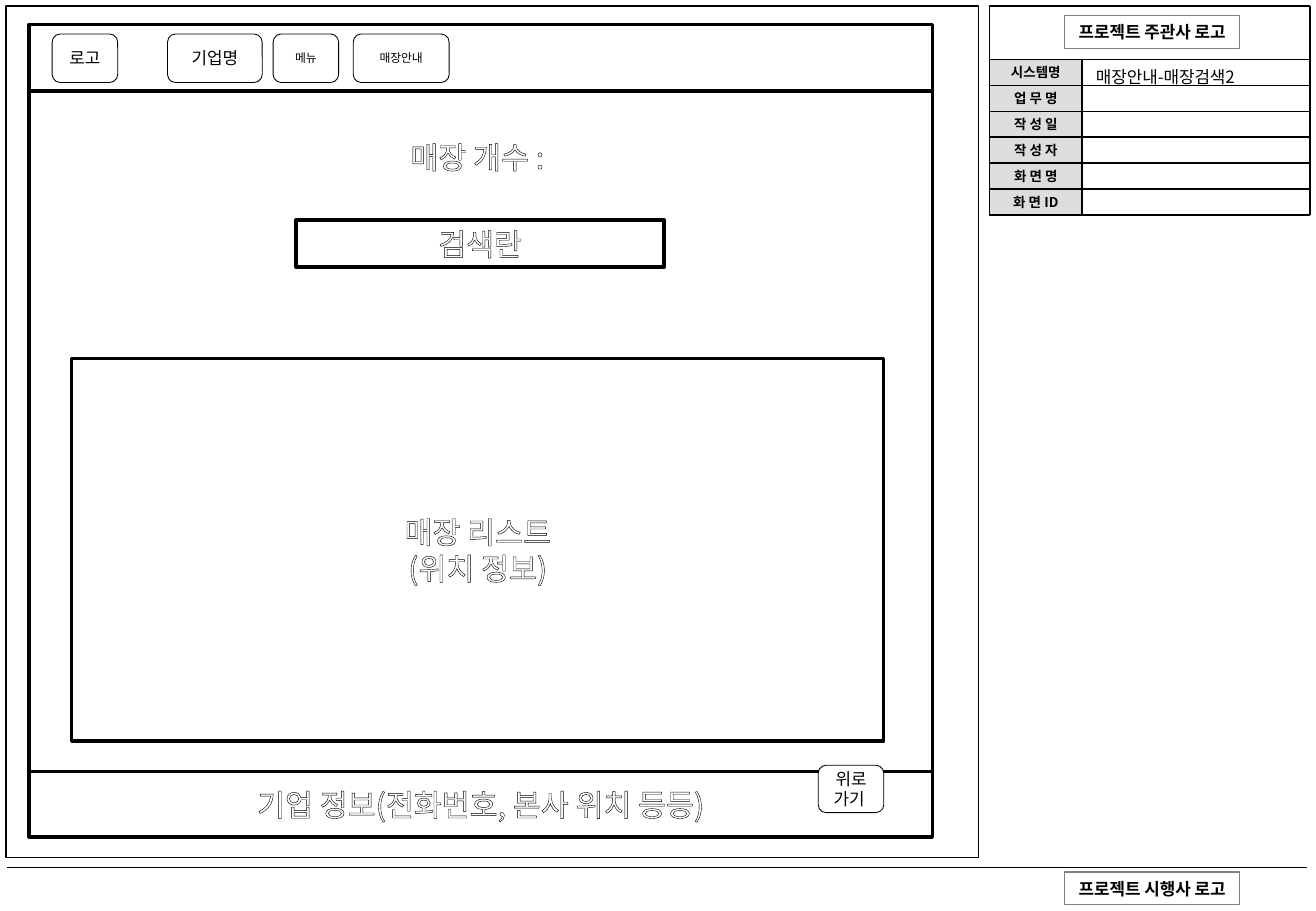
from collections import namedtuple

from lxml import etree
from pptx import Presentation, util as u
from pptx.dml import color
from pptx.enum import shapes, text
from pptx.oxml import ns

# The slide is a grid of 1084 columns by 750 rows, each 0.01 inch.
CELL = u.Inches(0.01)
COLUMNS, ROWS = 1084, 750
FONT = "Noto Sans CJK KR"
BLACK, WHITE, GRAY, LABEL_GRAY = "000000", "FFFFFF", "808080", "DDDDDD"
RECTANGLE = shapes.MSO_SHAPE.RECTANGLE
ROUNDED = shapes.MSO_SHAPE.ROUNDED_RECTANGLE

Box = namedtuple("Box", "left top width height")


def grid(units):
    return round(units * CELL)


def inside(box, left, top, width, height):
    return Box(box.left + left, box.top + top, width, height)


def rgb(value):
    return color.RGBColor.from_string(value)


def write(shape, content, size=10, bold=False, outlined=False, wrap=True,
          align=text.PP_ALIGN.CENTER, anchor=text.MSO_ANCHOR.MIDDLE,
          margins=(10, 5, 10, 5)):
    frame = shape.text_frame
    frame.word_wrap = wrap
    frame.vertical_anchor = anchor
    (frame.margin_left, frame.margin_top,
     frame.margin_right, frame.margin_bottom) = map(grid, margins)
    for index, line in enumerate(content.split("\n")):
        paragraph = frame.add_paragraph() if index else frame.paragraphs[0]
        paragraph.alignment = align
        run = paragraph.add_run()
        run.text = line
        font = run.font
        font.name, font.size, font.bold = FONT, u.Pt(size), bold
        font.color.rgb = rgb(WHITE if outlined else BLACK)
        properties = run._r.get_or_add_rPr()
        etree.SubElement(properties, ns.qn("a:ea"), typeface=FONT)
        if outlined:
            outline = etree.Element(ns.qn("a:ln"), w=str(u.Pt(0.75)))
            fill = etree.SubElement(outline, ns.qn("a:solidFill"))
            etree.SubElement(fill, ns.qn("a:srgbClr"), val=BLACK)
            properties.insert(0, outline)


def add_box(slide, box, content="", kind=RECTANGLE, fill=WHITE, line=BLACK,
            weight=2, **text_format):
    shape = slide.shapes.add_shape(kind, *map(grid, box))
    shape.shadow.inherit = False
    shape.fill.solid()
    shape.fill.fore_color.rgb = rgb(fill)
    if line:
        shape.line.color.rgb = rgb(line)
        shape.line.width = u.Pt(weight)
    else:
        shape.line.fill.background()
    if content:
        write(shape, content, **text_format)
    return shape


def add_line(slide, start, end, weight):
    connector = slide.shapes.add_connector(
        shapes.MSO_CONNECTOR.STRAIGHT, *map(grid, (*start, *end)))
    connector.line.color.rgb = rgb(BLACK)
    connector.line.width = u.Pt(weight)
    etree.SubElement(connector._element.spPr, ns.qn("a:effectLst"))


def add_button(slide, box, label, size=10):
    add_box(slide, box, label, kind=ROUNDED, weight=0.5, size=size)


def add_logo_label(slide, box, label):
    add_box(slide, box, label, line=GRAY, weight=0.7, bold=True, wrap=False)


def add_info_panel(slide, box):
    labels = ["시스템명", "업 무 명", "작 성 일", "작 성 자", "화 면 명", "화 면 ID"]
    header_height, label_width = 44, 76.5
    row_height = (box.height - header_height) / len(labels)
    value_width = box.width - label_width
    right, bottom = box.left + box.width, box.top + box.height
    row_tops = [box.top + header_height + row * row_height
                for row in range(len(labels) + 1)]
    divider = box.left + label_width

    # Header and label cells
    add_box(slide, box._replace(height=header_height), line=None)
    for label, top in zip(labels, row_tops):
        add_box(slide, Box(divider, top, value_width, row_height), line=None)
        add_box(slide, Box(box.left, top, label_width, row_height), label,
                fill=LABEL_GRAY, line=None, size=8, bold=True, margins=(4,) * 4)

    # Rules
    for y in [box.top, *row_tops]:
        add_line(slide, (box.left, y), (right, y), 0.95)
    for x, top in [(box.left, box.top), (divider, row_tops[0]), (right, box.top)]:
        add_line(slide, (x, top), (x, bottom), 0.95)

    # Logo label and system name
    add_logo_label(slide, inside(box, 62, 8, 144, 27), "프로젝트 주관사 로고")
    name = slide.shapes.add_textbox(
        *map(grid, inside(box, 78, header_height + 1, 184, 27)))
    write(name, "매장안내-매장검색2", align=text.PP_ALIGN.LEFT,
          anchor=text.MSO_ANCHOR.TOP)


def add_menu_bar(slide, box):
    add_box(slide, box)
    for label, left, width, size in [("로고", 19, 54, 10), ("기업명", 114, 78, 10),
                                     ("메뉴", 201, 54, 7), ("매장안내", 267, 79, 7)]:
        add_button(slide, inside(box, left, 8, width, 40), label, size)


def add_store_search(slide, box):
    add_box(slide, box, "매장 개수 : ", size=18, outlined=True,
            anchor=text.MSO_ANCHOR.TOP, margins=(10, 39, 10, 5))
    add_box(slide, inside(box, 220, 106, 303, 39), "검색란",
            size=18, outlined=True)
    add_box(slide, inside(box, 35, 220, 669, 315), "매장 리스트\n(위치 정보)",
            size=18, outlined=True)


def add_company_footer(slide, box):
    add_box(slide, box, "기업 정보(전화번호, 본사 위치 등등)",
            size=18, outlined=True)
    add_button(slide, inside(box, 650, -5, 54, 39), "위로가기 ")


def add_screen(slide, box):
    menu_height, footer_height = 55, 54
    body_height = box.height - menu_height - footer_height
    add_menu_bar(slide, box._replace(height=menu_height))
    add_store_search(slide, inside(box, 0, menu_height, box.width, body_height))
    add_company_footer(slide, inside(box, 0, menu_height + body_height,
                                     box.width, footer_height))


def add_page_footer(slide, box):
    add_line(slide, (box.left, box.top), (box.left + box.width, box.top), 0.7)
    add_logo_label(slide, inside(box, 871, 4, 144, 27), "프로젝트 시행사 로고")


def main():
    presentation = Presentation()
    presentation.slide_width = grid(COLUMNS)
    presentation.slide_height = grid(ROWS)
    slide = presentation.slides.add_slide(presentation.slide_layouts[6])

    # Page frame, side panel and footer
    add_box(slide, Box(5, 5, 801, 701), weight=0.7)
    add_info_panel(slide, Box(815, 5, 264, 172))
    add_page_footer(slide, Box(6, 714, 1071, 36))

    # Screen design
    add_screen(slide, Box(24, 20, 744, 669))
    presentation.save("out.pptx")


if __name__ == "__main__":
    main()
